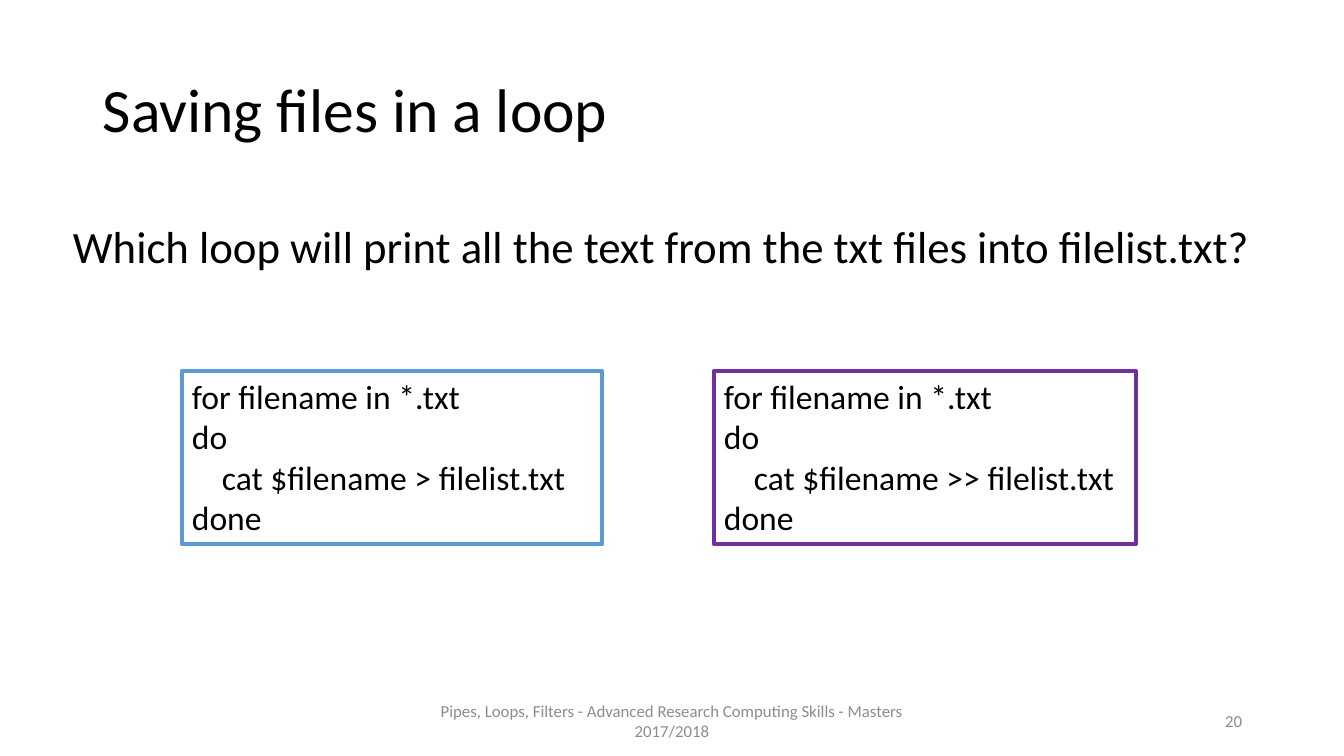
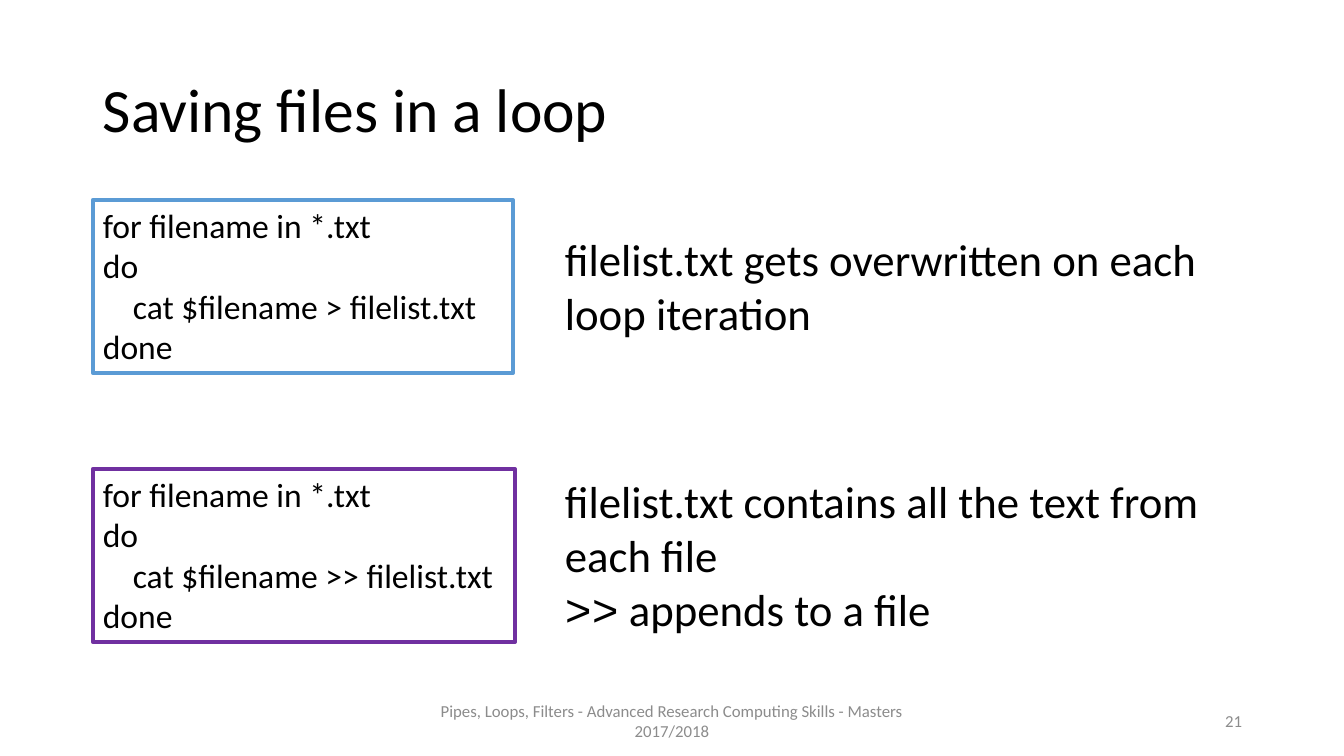
from pptx import Presentation
from pptx.dml.color import RGBColor
from pptx.enum.shapes import MSO_SHAPE as SHAPE
from pptx.enum.text import MSO_ANCHOR as ANCHOR, PP_ALIGN as ALIGN
from pptx.util import Emu, Pt

# Shared style
WIDTH, HEIGHT = 1344, 756
SCALE = 12192000 / WIDTH
BLACK = RGBColor(0x00, 0x00, 0x00)
WHITE = RGBColor(0xFF, 0xFF, 0xFF)
GREY = RGBColor(0x8C, 0x8C, 0x8C)
BLUE = RGBColor(0x5B, 0x9B, 0xD5)
PURPLE = RGBColor(0x70, 0x30, 0xA0)
FONT, MONO = "Calibri", "Courier New"
TITLE = "Saving files in a loop"
FOOTER = "Pipes, Loops, Filters - Advanced Research Computing Skills - Masters 2017/2018"


def px(n):
    return Emu(round(n * SCALE))


class Deck:
    def __init__(self):
        self.prs = Presentation()
        self.prs.slide_width, self.prs.slide_height = px(WIDTH), px(HEIGHT)
        self.s = None

    def slide(self, title, number):
        """Start a slide with its title, footer and number."""
        self.s = self.prs.slides.add_slide(self.prs.slide_layouts[6])
        tf = self.text(title, 93, 40, 1159, 146, 44, anchor=ANCHOR.MIDDLE)
        tf.paragraphs[0].line_spacing = 0.9
        self.text(FOOTER, 395, 701, 554, 40, 12, GREY, ALIGN.CENTER, ANCHOR.MIDDLE)
        self.text(str(number), 949, 701, 303, 40, 12, GREY, ALIGN.RIGHT, ANCHOR.MIDDLE)

    def fill_text(self, tf, text, size, color=BLACK, align=ALIGN.LEFT, anchor=ANCHOR.TOP):
        tf.text = text
        tf.word_wrap = True
        tf.vertical_anchor = anchor
        for p in tf.paragraphs:
            p.alignment = align
            for r in p.runs:
                self.format_run(r, size, color)
        return tf

    def format_run(self, r, size, color=BLACK, font=FONT):
        r.font.name, r.font.size = font, Pt(size)
        r.font.color.rgb = color

    def text(self, text, x, y, w, h, size=32, *style, **options):
        sp = self.s.shapes.add_textbox(px(x), px(y), px(w), px(h))
        return self.fill_text(sp.text_frame, text, size, *style, **options)

    def loop(self, operator, color, x, y, w):
        """Framed shell loop that redirects with the given operator."""
        sp = self.s.shapes.add_shape(SHAPE.RECTANGLE, px(x), px(y), px(w), px(173))
        sp.shadow.inherit = False
        sp.fill.solid()
        sp.fill.fore_color.rgb = WHITE
        sp.line.color.rgb = color
        sp.line.width = Pt(3)
        code = f"for filename in *.txt\ndo\ncat $filename {operator} filelist.txt\ndone"
        tf = self.fill_text(sp.text_frame, code, 24)
        tf.paragraphs[2]._p.get_or_add_pPr().set("marL", str(px(30)))

    def overwrite_loop(self, x, y):
        self.loop(">", BLUE, x, y, 420)

    def append_loop(self, x, y):
        self.loop(">>", PURPLE, x, y, 422)


deck = Deck()

# Question
deck.slide(TITLE, 20)
deck.overwrite_loop(182, 371)
deck.append_loop(714, 371)
deck.text("Which loop will print all the text from the txt files into filelist.txt?",
          63, 214, 1203, 65)

# Answer
deck.slide(TITLE, 21)
deck.overwrite_loop(93, 200)
deck.append_loop(93, 469)
deck.text("filelist.txt gets overwritten on each loop iteration", 555, 227, 669, 119)
tf = deck.text("filelist.txt contains all the text from each file\n>>", 555, 469, 669, 173)
p = tf.paragraphs[1]
p.runs[0].font.name = MONO
r = p.add_run()
r.text = "\u00a0appends to a file"
deck.format_run(r, 32)

deck.prs.save("out.pptx")
